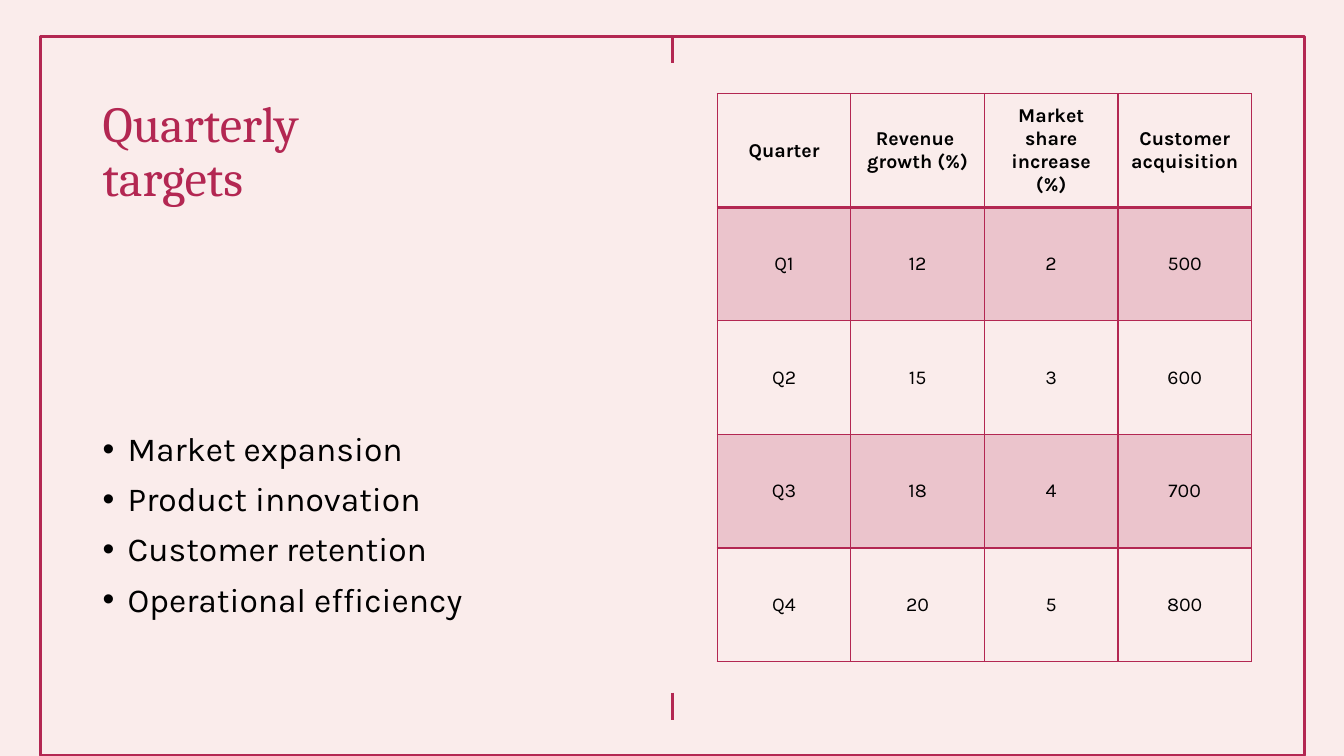
from dataclasses import dataclass

from lxml import etree
from pptx import Presentation
from pptx.dml.color import RGBColor
from pptx.enum import shapes, text
from pptx.oxml import ns
from pptx.util import Pt


@dataclass(frozen=True)
class Theme:
    paper: str = "FAECEB"
    rose: str = "B32752"
    ink: str = "000000"
    serif: str = "Cambria"
    sans: str = "Karla"
    title: int = 36
    body: int = 24
    cell: int = 14
    tint: int = 20  # opacity of shaded rows, percent


THEME = Theme()
LEFT, TOP, WIDTH = 66.2, 67, 381.6
FRAME = (28.8, 25.9, 902.9, 514.1)
TICK = 19.4

GOALS = ["Market expansion", "Product innovation",
         "Customer retention", "Operational efficiency"]
ROWS = [
    ["Quarter", "Revenue \vgrowth (%)", "Market share increase (%)",
     "Customer acquisition"],
    ["Q1", "12", "2", "500"],
    ["Q2", "15", "3", "600"],
    ["Q3", "18", "4", "700"],
    ["Q4", "20", "5", "800"],
]


def rgb(code):
    return RGBColor.from_string(code)


def node(parent, tag, **attrs):
    return etree.SubElement(parent, ns.qn(tag), attrs)


def style(para, face, size, color, bold=False):
    for run in para.runs:
        font = run.font
        font.name, font.size, font.bold = face, Pt(size), bold
        font.color.rgb = rgb(color)


# Frame and its centre ticks
def add_frame(slide):
    box = slide.shapes.add_shape(
        shapes.MSO_SHAPE.RECTANGLE, *[Pt(n) for n in FRAME])
    box.shadow.inherit = False
    box.fill.background()
    box.line.color.rgb = rgb(THEME.rose)
    box.line.width = Pt(2.25)


def add_tick(slide, x, y):
    tick = slide.shapes.add_connector(
        shapes.MSO_CONNECTOR.STRAIGHT, Pt(x), Pt(y), Pt(x), Pt(y + TICK))
    tick.line.color.rgb = rgb(THEME.rose)
    tick.line.width = Pt(2.25)
    node(tick.element.spPr, "a:effectLst")


# Text on the left
def add_text(slide, top, height, words):
    box = slide.shapes.add_textbox(Pt(LEFT), Pt(top), Pt(WIDTH), Pt(height))
    frame = box.text_frame
    frame.word_wrap = True
    frame.text = words
    for para in frame.paragraphs:
        para.line_spacing = 0.9
    return frame


def add_title(slide, words):
    frame = add_text(slide, TOP, 219.6, words)
    style(frame.paragraphs[0], THEME.serif, THEME.title, THEME.rose)


def add_list(slide, items):
    frame = add_text(slide, 305.3, 167, "\n".join(items))
    for i, para in enumerate(frame.paragraphs):
        para.space_before = Pt(10 if i else 0)
        props = para._p.get_or_add_pPr()
        props.set("marL", str(Pt(18)))
        props.set("indent", str(Pt(-18)))
        node(props, "a:buFont", typeface="Arial")
        node(props, "a:buChar", char="•")
        style(para, THEME.sans, THEME.body, THEME.ink)


# Table on the right
def set_edges(cell, widths):
    props = cell._tc.get_or_add_tcPr()
    for i, (side, width) in enumerate(widths.items()):
        edge = etree.Element(ns.qn("a:ln" + side), w=str(Pt(width)))
        fill = node(edge, "a:solidFill")
        node(fill, "a:srgbClr", val=THEME.rose)
        props.insert(i, edge)


def set_fill(cell, shaded):
    if not shaded:
        cell.fill.background()
        return
    cell.fill.solid()
    cell.fill.fore_color.rgb = rgb(THEME.rose)
    color = cell._tc.tcPr.find(".//" + ns.qn("a:srgbClr"))
    node(color, "a:alpha", val=str(THEME.tint * 1000))


def add_grid(slide, rows):
    shape = slide.shapes.add_table(
        len(rows), len(rows[0]), Pt(512.4), Pt(TOP), Pt(WIDTH), Pt(405.5))
    grid = shape.table
    grid.first_row = grid.horz_banding = False
    for r, row in enumerate(rows):
        for c, words in enumerate(row):
            cell = grid.cell(r, c)
            cell.text_frame.text = words
            cell.vertical_anchor = text.MSO_ANCHOR.MIDDLE
            para = cell.text_frame.paragraphs[0]
            para.alignment = text.PP_ALIGN.CENTER
            style(para, THEME.sans, THEME.cell, THEME.ink, bold=r == 0)
            set_fill(cell, shaded=r % 2 == 1)
            set_edges(cell, {"L": 1, "R": 1, "T": 2 if r == 1 else 1,
                             "B": 2 if r == 0 else 1})


def main():
    deck = Presentation()
    deck.slide_width, deck.slide_height = Pt(960), Pt(540)
    slide = deck.slides.add_slide(deck.slide_layouts[6])
    slide.background.fill.solid()
    slide.background.fill.fore_color.rgb = rgb(THEME.paper)

    # Frame
    add_frame(slide)
    left, top, width, height = FRAME
    height = 488.2
    for y in (top, top + height - TICK):
        add_tick(slide, left + width / 2, y)

    # Content
    add_title(slide, "Quarterly \vtargets")
    add_list(slide, GOALS)
    add_grid(slide, ROWS)
    deck.save("out.pptx")


if __name__ == "__main__":
    main()
